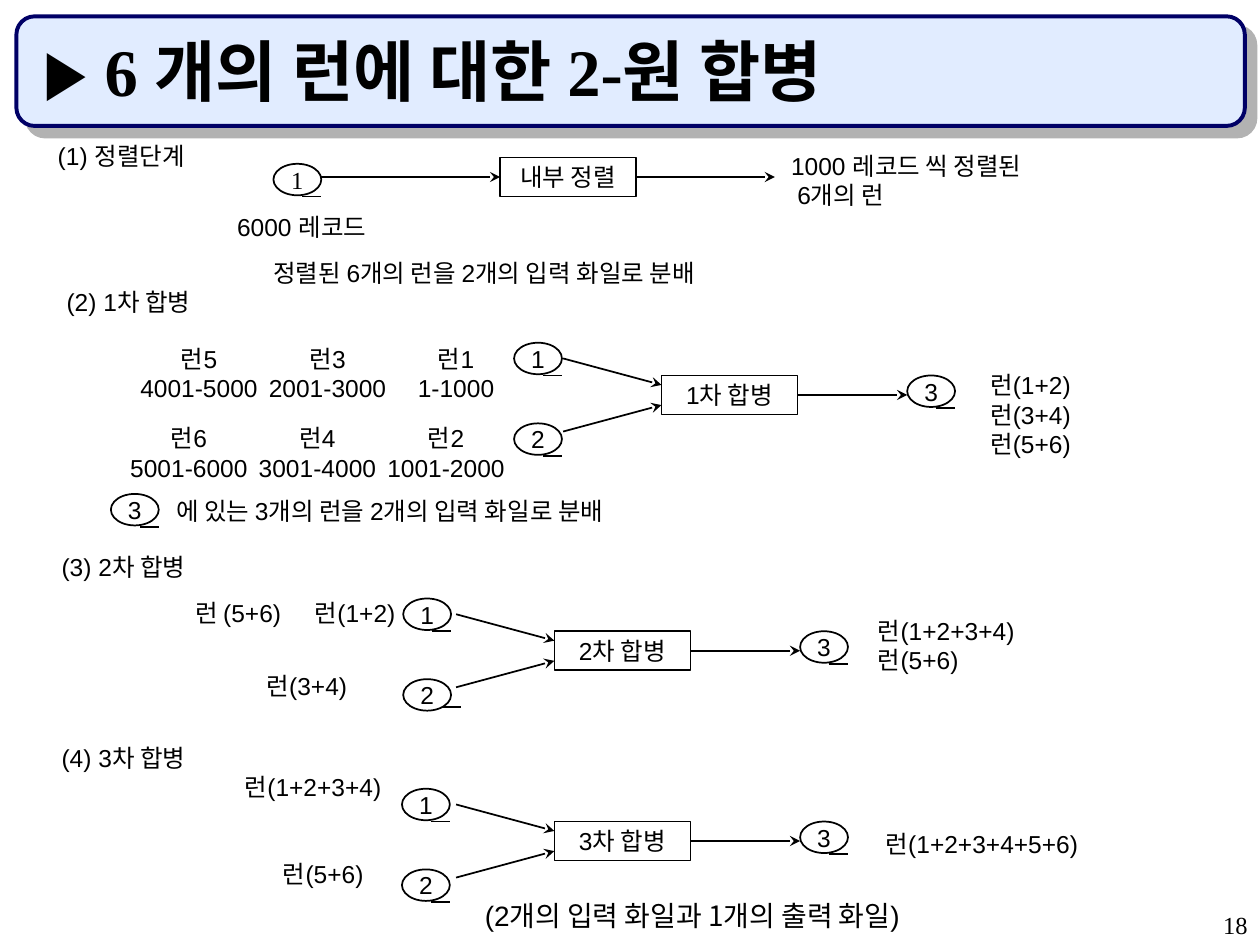
from lxml import etree
from pptx import Presentation
from pptx.dml.color import RGBColor
from pptx.enum import shapes, text
from pptx.oxml import parse_xml
from pptx.oxml.ns import nsdecls, qn
from pptx.util import Inches, Pt

BLACK = RGBColor(0x00, 0x00, 0x00)
WHITE = RGBColor(0xFF, 0xFF, 0xFF)
NAVY = RGBColor(0x00, 0x00, 0x66)
PALE_BLUE = RGBColor(0xE1, 0xEC, 0xFF)
LEFT, CENTER, RIGHT = text.PP_ALIGN.LEFT, text.PP_ALIGN.CENTER, text.PP_ALIGN.RIGHT
SANS, SERIF, KOREAN = "Arial", "Times New Roman", "Noto Sans CJK KR"
BOX_W, BOX_H = 1.08, 0.31
TAPE_W, TAPE_H = 0.38, 0.25


def add_run(p, words, font=SANS, size=14, bold=False):
    r = p.add_run()
    r.text = words
    r.font.name, r.font.size, r.font.bold = font, Pt(size), bold
    r.font.color.rgb = BLACK


def add_text(s, x, y, w, h, lines, align=LEFT, fill=None, wrap=False, **font):
    sp = s.shapes.add_textbox(Inches(x), Inches(y), Inches(w), Inches(h))
    if fill is not None:
        sp.fill.solid()
        sp.fill.fore_color.rgb = fill
    tf = sp.text_frame
    tf.word_wrap = wrap
    tf.auto_size = text.MSO_AUTO_SIZE.NONE if wrap else text.MSO_AUTO_SIZE.SHAPE_TO_FIT_TEXT
    for i, line in enumerate(lines):
        p = tf.paragraphs[0] if i == 0 else tf.add_paragraph()
        p.alignment = align
        add_run(p, line, **font)
    return sp


def add_outlined(s, kind, x, y, w, h, label, font=SANS):
    sp = s.shapes.add_shape(kind, Inches(x), Inches(y), Inches(w), Inches(h))
    sp.shadow.inherit = False
    sp.fill.background()
    sp.line.color.rgb, sp.line.width = BLACK, Pt(1)
    tf = sp.text_frame
    tf.word_wrap = False
    tf.vertical_anchor = text.MSO_ANCHOR.MIDDLE
    p = tf.paragraphs[0]
    p.alignment = CENTER
    add_run(p, label, font)
    return sp


def add_line(s, x1, y1, x2, y2, arrow=False):
    ln = s.shapes.add_connector(shapes.MSO_CONNECTOR.STRAIGHT,
                                Inches(x1), Inches(y1), Inches(x2), Inches(y2))
    ln.line.color.rgb, ln.line.width = BLACK, Pt(1)
    if arrow:
        etree.SubElement(ln.line._get_or_add_ln(), qn("a:tailEnd"), type="stealth")
    etree.SubElement(ln._element.spPr, qn("a:effectLst"))
    return ln


def add_tape(s, x, y, label, font=SANS, base=(0.23, 0.26)):
    """Tape symbol: a numbered ellipse with a short line at its lower right."""
    add_outlined(s, shapes.MSO_SHAPE.OVAL, x, y, TAPE_W, TAPE_H, label, font)
    add_line(s, x + base[0], y + base[1], x + base[0] + 0.15, y + base[1])


def add_process(s, x, y, label):
    return add_outlined(s, shapes.MSO_SHAPE.RECTANGLE, x, y, BOX_W, BOX_H, label)


def add_merge(s, x, y, label, tape_dx, base_2=(0.23, 0.26)):
    """Two input tapes merged by the box at x, y onto tape 3."""
    add_tape(s, x + tape_dx, y - 0.26, "1")
    add_tape(s, x + tape_dx, y + 0.38, "2", base=base_2)
    box = add_process(s, x, y, label)
    mid = y + BOX_H / 2
    for side in (-1, 1):
        add_line(s, x - 0.78, mid + side * 0.29, x, mid + side * 0.08, arrow=True)
    out = add_line(s, x + BOX_W, mid, x + 1.95, mid, arrow=True)
    out.begin_connect(box, 3)
    add_tape(s, x + 1.95, y, "3")


def add_title(s, x, y, w, h):
    sp = s.shapes.add_shape(shapes.MSO_SHAPE.ROUNDED_RECTANGLE,
                            Inches(x), Inches(y), Inches(w), Inches(h))
    sp.fill.solid()
    sp.fill.fore_color.rgb = PALE_BLUE
    sp.line.color.rgb, sp.line.width = NAVY, Pt(2.25)
    sp._element.spPr.append(parse_xml(
        f'<a:effectLst {nsdecls("a")}><a:outerShdw dist="107950" dir="2700000" algn="ctr" '
        'rotWithShape="0"><a:srgbClr val="B2B2B2"/></a:outerShdw></a:effectLst>'))
    title = add_text(s, x + 0.12, y + 0.12, w - 0.33, h - 0.2, ["▶ 6 개의 런에 대한 2-원 합병"],
                     wrap=True, font=SERIF, size=38, bold=True)
    title.text_frame.vertical_anchor = text.MSO_ANCHOR.BOTTOM


def add_sort_stage(s, x, y):
    add_text(s, x, y, 1.26, 0.33, ["(1) 정렬단계"])
    add_tape(s, x + 1.81, y + 0.23, "1", font=SERIF)
    add_text(s, x + 1.4, y + 0.56, 1.27, 0.33, ["6000 레코드"], CENTER)
    box = add_process(s, x + 3.61, y + 0.18, "내부 정렬")
    mid = y + 0.18 + BOX_H / 2
    add_line(s, x + 2.19, mid, x + 3.61, mid, arrow=True).end_connect(box, 1)
    add_line(s, x + 4.69, mid, x + 5.79, mid, arrow=True).begin_connect(box, 3)
    runs = add_text(s, x + 5.82, y + 0.08, 2.16, 0.57, ["1000 레코드 씩 정렬된", "6개의 런"])
    runs.text_frame.paragraphs[1]._p.get_or_add_pPr().set("marL", str(Inches(0.05)))
    add_text(s, x + 1.71, y + 0.93, 3.8, 0.33, ["정렬된 6개의 런을 2개의 입력 화일로 분배"])


def add_first_merge(s, x, y):
    add_text(s, x, y, 1.24, 0.33, ["(2) 1차 합병"])
    rows = [
        (1.15, 0.45, [("런5", "4001-5000"), ("런3", "2001-3000"), ("런1", "1-1000")]),
        (1.07, 1.08, [("런6", "5001-6000"), ("런4", "3001-4000"), ("런2", "1001-2000")]),
    ]
    for center, top, runs in rows:
        for i, lines in enumerate(runs):
            add_text(s, x + center + 1.02 * i - 0.57, y + top, 1.14, 0.57, lines, CENTER)
    add_merge(s, x + 4.82, y + 0.75, "1차 합병", tape_dx=-1.17)
    add_text(s, x + 7.33, y + 0.66, 0.89, 0.8, ["런(1+2)", "런(3+4)", "런(5+6)"])
    add_tape(s, x + 0.45, y + 1.69, "3")
    add_text(s, x + 0.87, y + 1.66, 3.87, 0.33, ["에 있는 3개의 런을 2개의 입력 화일로 분배"])


def add_second_merge(s, x, y):
    add_text(s, x, y, 1.3, 0.33, ["(3) 2차 합병"])
    add_text(s, x + 1.06, y + 0.37, 0.94, 0.33, ["런 (5+6)"])
    add_text(s, x + 2.01, y + 0.37, 0.89, 0.33, ["런(1+2)"])
    add_text(s, x + 1.6, y + 0.95, 0.89, 0.33, ["런(3+4)"], CENTER)
    add_merge(s, x + 4.01, y + 0.68, "2차 합병", tape_dx=-1.2, base_2=(0.31, 0.22))
    add_text(s, x + 6.48, y + 0.51, 1.33, 0.57, ["런(1+2+3+4)", "런(5+6)"])


def add_third_merge(s, x, y):
    add_text(s, x, y, 1.3, 0.33, ["(4) 3차 합병"])
    add_text(s, x + 1.43, y + 0.23, 1.33, 0.33, ["런(1+2+3+4)"], CENTER, WHITE)
    add_text(s, x + 1.73, y + 0.92, 0.89, 0.33, ["런(5+6)"], CENTER, WHITE)
    add_merge(s, x + 4.01, y + 0.67, "3차 합병", tape_dx=-1.21)
    add_text(s, x + 6.54, y + 0.68, 1.78, 0.33, ["런(1+2+3+4+5+6)"])
    note = add_text(s, x + 3.36, y + 1.28, 5.5, 0.32, ["(2"], wrap=True, size=16)
    p = note.text_frame.paragraphs[0]
    p.line_spacing = 0.8
    add_run(p, "개의 입력 화일과 1개의 출력 화일", KOREAN, 16)
    add_run(p, ")", SANS, 16)


def main():
    prs = Presentation()
    prs.slide_width, prs.slide_height = Inches(10), Inches(7.5)
    s = prs.slides.add_slide(prs.slide_layouts[6])
    add_title(s, 0.13, 0.13, 9.75, 0.87)
    add_sort_stage(s, 0.36, 1.07)
    add_first_merge(s, 0.43, 2.23)
    add_second_merge(s, 0.39, 4.33)
    add_third_merge(s, 0.39, 5.85)
    add_text(s, 7.92, 7.17, 2.08, 0.33, ["18"], RIGHT, wrap=True, font=SERIF)
    prs.save("out.pptx")


if __name__ == "__main__":
    main()
